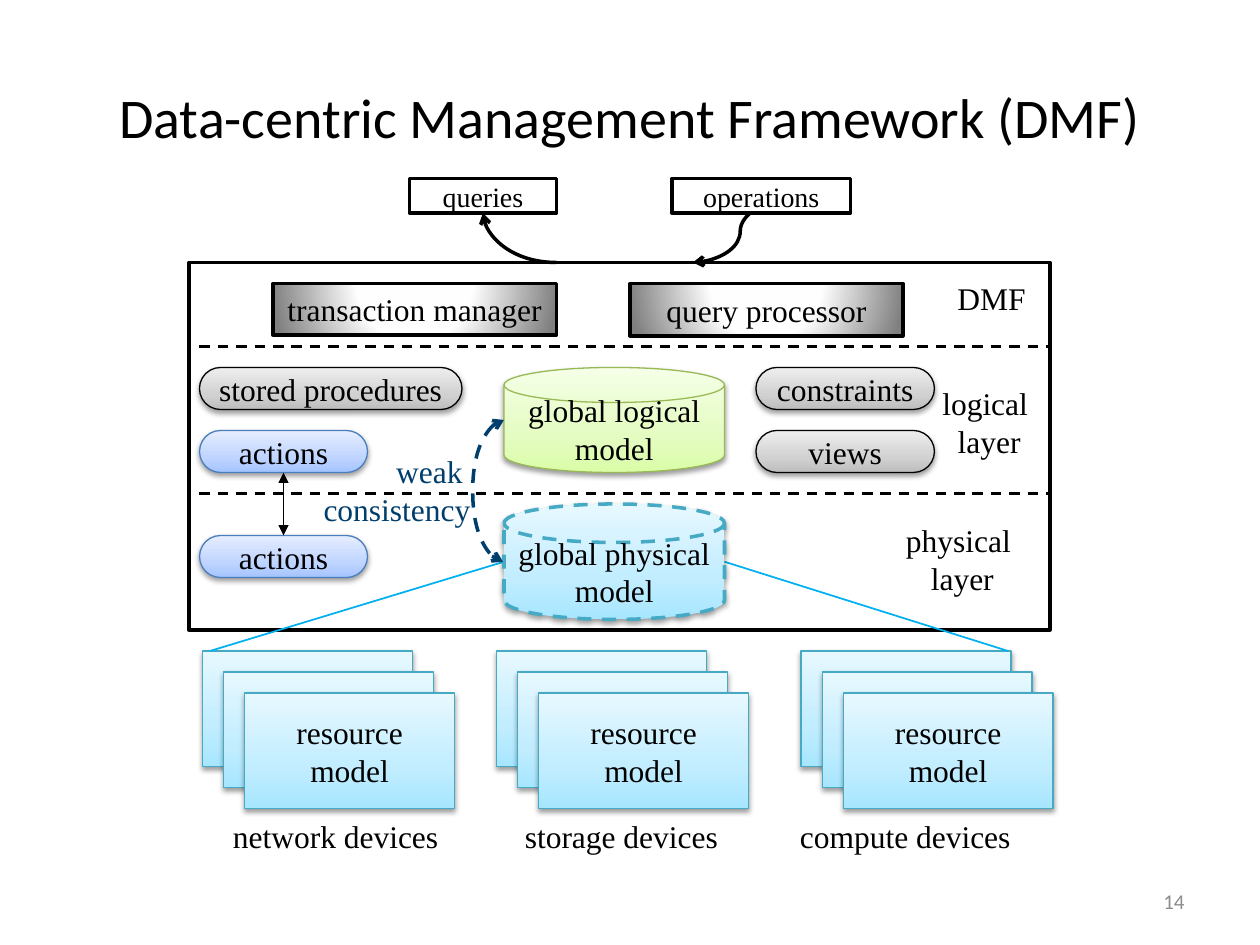
import pptx
import pptx.util
from pptx.dml.color import RGBColor
from pptx.enum.dml import MSO_LINE
from pptx.enum.shapes import MSO_CONNECTOR, MSO_SHAPE
from pptx.enum.text import MSO_ANCHOR, MSO_AUTO_SIZE, PP_ALIGN
from pptx.oxml import parse_xml
from pptx.oxml.ns import nsdecls, qn

PX = 7620  # EMU in one px, 120 px to the inch

COLORS = {
    "black": "000000", "white": "FFFFFF", "number": "8C8C8C",
    "navy": "003E6C", "sky": "00B0F0", "aqua": "46AAC5",
    "green": "98B955", "blue": "4B7EBC",
}
GRADIENTS = {
    "aqua": ((0, "A7E6FF"), (35, "C1EDFF"), (100, "E7F8FF")),
    "green": ((0, "DAFDA7"), (35, "E4FCC2"), (100, "F5FFE7")),
    "gray": ((0, "BDBDBD"), (35, "D1D1D1"), (100, "EEEEEE")),
    "blue": ((0, "A4C4FF"), (35, "BFD4FF"), (100, "E6EEFF")),
    "metal": ((0, "FFFFFF"), (40, "FEFEFE"), (100, "7F7F7F")),
}
UPWARD = '<a:lin {} ang="16200000" scaled="0"/>'
RADIAL = ('<a:path {} path="circle">'
          '<a:fillToRect l="50000" t="-80000" r="50000" b="180000"/></a:path>')
SHADOW = ('<a:outerShdw {} blurRad="40000" dist="20000" dir="5400000" rotWithShape="0">'
          '<a:srgbClr val="000000"><a:alpha val="38000"/></a:srgbClr></a:outerShdw>')

# Each style: gradient (None is white), line colour, line width, dashed, shadow
STYLES = {
    "plain": (None, "black", 2, False, False),
    "metal": ("metal", "black", 2, False, False),
    "gray": ("gray", "black", 0.75, False, True),
    "blue": ("blue", "blue", 0.75, False, True),
    "green": ("green", "green", 0.75, False, True),
    "aqua": ("aqua", "aqua", 0.75, False, True),
    "aqua dashed": ("aqua", "aqua", 2, True, True),
}
CENTER, LEFT, RIGHT = PP_ALIGN.CENTER, PP_ALIGN.LEFT, PP_ALIGN.RIGHT


def xml(template):
    return parse_xml(template.format(nsdecls("a")))


def set_values(target, values):
    for name, value in values.items():
        setattr(target, name, value)


class Diagram:
    def __init__(self, slide, font="Times New Roman", size=18):
        self.slide, self.font, self.size = slide, font, size

    def color(self, name):
        return RGBColor.from_string(COLORS[name])

    def fill_text(self, shape, lines, size=None, color="black", font=None,
                  aligns=(CENTER,), **frame_format):
        frame = shape.text_frame
        set_values(frame, frame_format)
        frame.text = "\n".join(lines)
        for index, paragraph in enumerate(frame.paragraphs):
            paragraph.alignment = aligns[index % len(aligns)]
            for run in paragraph.runs:
                set_values(run.font, {"size": pptx.util.Pt(size or self.size),
                                      "name": font or self.font})
                run.font.color.rgb = self.color(color)

    def stroke(self, line, color, width, dashed):
        line.color.rgb = self.color(color)
        line.width = pptx.util.Pt(width)
        if dashed:
            line.dash_style = MSO_LINE.DASH

    def gradient(self, shape, name):
        shape.fill.gradient()
        fill = shape._element.spPr.find(qn("a:gradFill"))
        for child in list(fill):
            fill.remove(child)
        stops = "".join(f'<a:gs pos="{pos * 1000}"><a:srgbClr val="{color}"/></a:gs>'
                        for pos, color in GRADIENTS[name])
        fill.append(xml("<a:gsLst {}>" + stops + "</a:gsLst>"))
        fill.append(xml(RADIAL if name == "metal" else UPWARD))

    def shape(self, kind, style, box, text="", size=None):
        gradient, color, width, dashed, shadow = STYLES[style]
        shape = self.slide.shapes.add_shape(kind, *(value * PX for value in box))
        shape.shadow.inherit = False
        if gradient:
            self.gradient(shape, gradient)
        else:
            shape.fill.solid()
            shape.fill.fore_color.rgb = self.color("white")
        self.stroke(shape.line, color, width, dashed)
        if shadow:
            shape._element.spPr.find(qn("a:effectLst")).append(xml(SHADOW))
        if text:
            self.fill_text(shape, [text], size, word_wrap=True,
                           vertical_anchor=MSO_ANCHOR.MIDDLE)
        return shape

    def pill(self, style, box, text):
        shape = self.shape(MSO_SHAPE.ROUNDED_RECTANGLE, style, box, text)
        shape.adjustments[0] = 0.5
        return shape

    def text_box(self, box, lines, **text_format):
        shape = self.slide.shapes.add_textbox(*(value * PX for value in box))
        self.fill_text(shape, lines, **text_format)

    def label(self, box, *lines, **text_format):
        self.text_box(box, lines, word_wrap=False,
                      auto_size=MSO_AUTO_SIZE.SHAPE_TO_FIT_TEXT, **text_format)

    def line(self, start, end, color="black", width=1, dashed=False, head=None,
             tail=None, kind=MSO_CONNECTOR.STRAIGHT):
        connector = self.slide.shapes.add_connector(
            kind, *(value * PX for value in start + end))
        self.stroke(connector.line, color, width, dashed)
        properties = connector._element.spPr
        for tag, arrow in (("headEnd", head), ("tailEnd", tail)):
            if arrow:
                properties.find(qn("a:ln")).append(
                    xml(f'<a:{tag} {{}} type="{arrow}"/>'))
        properties.append(xml("<a:effectLst {}/>"))
        return connector

    def curve(self, start, end, preset="curvedConnector3", bend=None, **line_format):
        connector = self.line(start, end, width=2, tail="arrow",
                              kind=MSO_CONNECTOR.CURVE, **line_format)
        geometry = connector._element.spPr.find(qn("a:prstGeom"))
        geometry.set("prst", preset)
        if bend:
            geometry.find(qn("a:avLst")).append(
                xml(f'<a:gd {{}} name="adj1" fmla="val {bend * 100000}"/>'))


def main():
    presentation = pptx.Presentation()
    set_values(presentation, {"slide_width": 1200 * PX, "slide_height": 900 * PX})
    diagram = Diagram(presentation.slides.add_slide(presentation.slide_layouts[6]))
    rectangle, disk = MSO_SHAPE.RECTANGLE, MSO_SHAPE.FLOWCHART_MAGNETIC_DISK

    # Framework frame, title and slide number
    diagram.shape(rectangle, "plain", (180, 250, 820, 350))
    middle = {"font": "Calibri", "word_wrap": True,
              "vertical_anchor": MSO_ANCHOR.MIDDLE}
    diagram.text_box((60, 36, 1080, 150), ["Data-centric Management Framework (DMF)"],
                     size=32, **middle)
    diagram.text_box((970, 834, 170, 48), ["14"], size=12, color="number",
                     aligns=(RIGHT,), **middle)

    # Device groups, each a stack of three resource models
    for stack_left, label_left, label_width, name in (
            (193, 210, 222, "network devices"),
            (473, 488, 210, "storage devices"),
            (763, 750, 227, "compute devices")):
        diagram.label((label_left, 772, label_width, 48), name, aligns=(LEFT,))
        for offset, text in ((0, ""), (20, ""), (40, "resource model")):
            diagram.shape(rectangle, "aqua",
                          (stack_left + offset, 620 + offset, 200, 110), text)
    diagram.line((480, 535), (200, 620), "sky")
    diagram.line((690, 535), (960, 620), "sky")

    # Queries and operations
    diagram.curve((530, 250), (460, 203), preset="curvedConnector2")
    diagram.curve((750, 190), (660, 250))
    diagram.shape(rectangle, "plain", (390, 170, 140, 33), "queries", 16)
    diagram.shape(rectangle, "plain", (640, 170, 170, 33), "operations", 16)

    # Top layer
    diagram.shape(rectangle, "metal", (600, 270, 260, 50), "query processor")
    diagram.shape(rectangle, "metal", (260, 270, 270, 49), "transaction manager")
    diagram.label((900, 260, 90, 48), "DMF", aligns=(LEFT,))

    # Logical and physical layers
    for top in (330, 470):
        diagram.line((190, top), (1000, top), width=1.5, dashed=True)
    diagram.label((885, 360, 114, 85), "logical ", "layer")
    diagram.label((850, 490, 133, 85), "physical ", "layer")
    diagram.shape(disk, "aqua dashed", (480, 480, 210, 110), "global physical model")
    diagram.shape(disk, "green", (480, 350, 210, 100), "global logical model")
    diagram.pill("gray", (190, 350, 250, 40), "stored procedures")
    diagram.pill("gray", (720, 350, 170, 40), "constraints")
    diagram.pill("gray", (720, 410, 170, 40), "views")

    # Actions joined across the layers
    logical_actions, physical_actions = (
        diagram.pill("blue", (190, top, 160, 40), "actions") for top in (410, 510))
    link = diagram.line((270, 450), (270, 510), head="triangle", tail="triangle")
    link.begin_connect(logical_actions, 2)
    link.end_connect(physical_actions, 0)

    # Weak consistency between the two models
    diagram.label((294, 425, 166, 85), "weak ", "consistency",
                  color="navy", aligns=(RIGHT, CENTER))
    diagram.curve((480, 400), (479, 535), bend=30, color="navy", dashed=True,
                  head="arrow")

    presentation.save("out.pptx")


if __name__ == "__main__":
    main()
